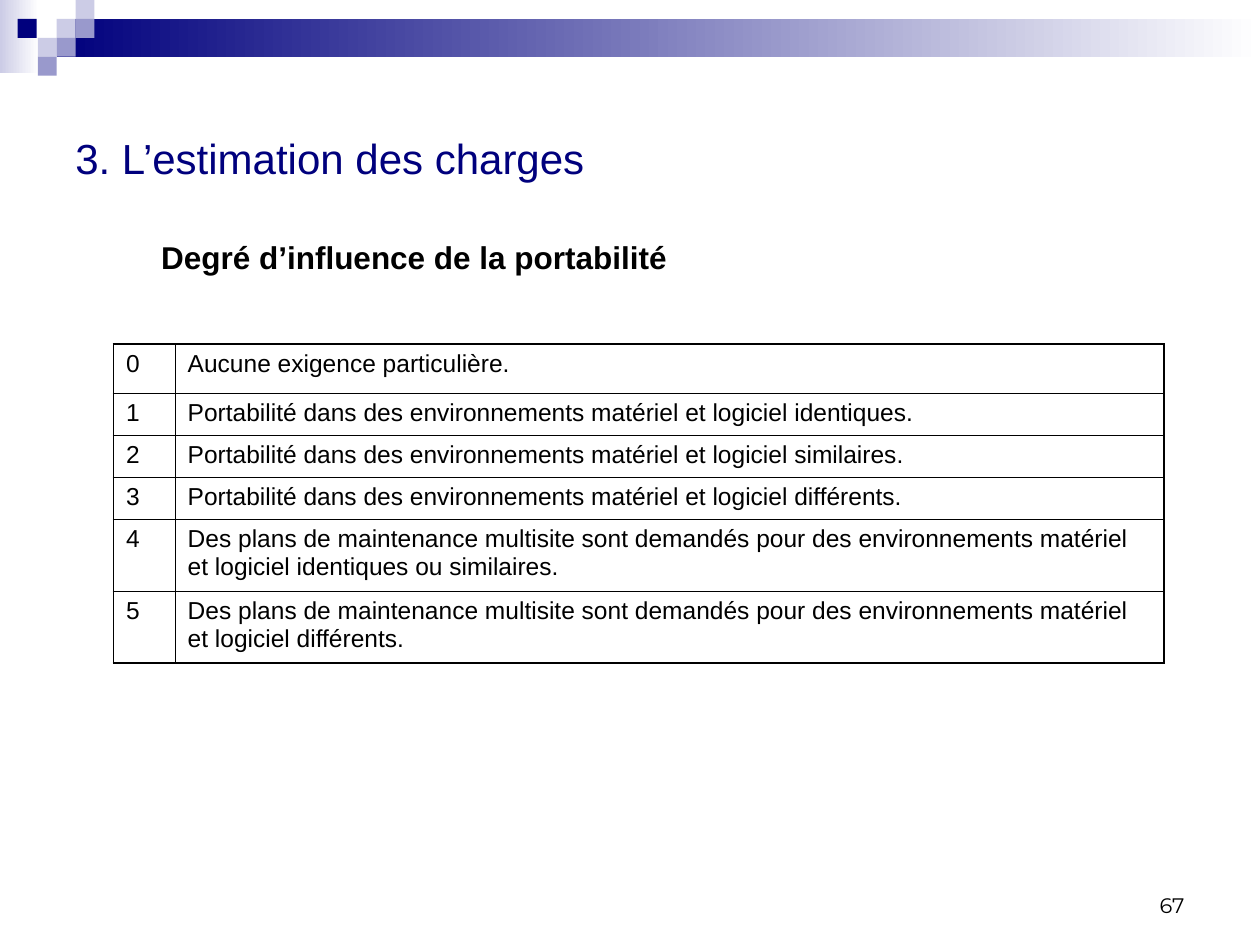
"""Build the slide on the degree of influence of portability."""
import pptx
import pptx.dml.color
import pptx.enum.shapes
import pptx.enum.text
import pptx.oxml.ns
import pptx.util
from lxml import etree

Inches = pptx.util.Inches
RGBColor = pptx.dml.color.RGBColor
Anchor = pptx.enum.text.MSO_ANCHOR
Align = pptx.enum.text.PP_ALIGN

NAVY = RGBColor(0x00, 0x00, 0x7D)
LAVENDER = RGBColor(0xCC, 0xCC, 0xE6)
PERIWINKLE = RGBColor(0x99, 0x99, 0xCC)
WHITE = RGBColor(0xFF, 0xFF, 0xFF)
BLACK = RGBColor(0x00, 0x00, 0x00)

THIN, THICK = 0.45, 1.08
TILE_SIZE = 0.15
TILES = [
    (0.45, 0.15, LAVENDER),
    (0.6, 0, LAVENDER),
    (0.6, 0.15, PERIWINKLE),
    (0.3, 0.3, LAVENDER),
    (0.14, 0.15, NAVY),
    (0.45, 0.3, PERIWINKLE),
    (0.3, 0.45, PERIWINKLE),
]
COLUMN_WIDTHS = [0.49, 7.85]
ROW_HEIGHTS = [0.39, 0.33, 0.33, 0.33, 0.57, 0.57]
DEGREES = [
    "Aucune exigence particulière.",
    "Portabilité dans des environnements matériel et logiciel identiques.",
    "Portabilité dans des environnements matériel et logiciel similaires.",
    "Portabilité dans des environnements matériel et logiciel différents.",
    "Des plans de maintenance multisite sont demandés pour des environnements "
    "matériel et logiciel identiques ou similaires.",
    "Des plans de maintenance multisite sont demandés pour des environnements "
    "matériel et logiciel différents.",
]


def add_rectangle(slide, left, top, width, height, *colors):
    """Add a borderless rectangle, with a gradient if two colours are given."""
    shape = slide.shapes.add_shape(
        pptx.enum.shapes.MSO_SHAPE.RECTANGLE,
        Inches(left), Inches(top), Inches(width), Inches(height),
    )
    shape.shadow.inherit = False
    shape.line.fill.background()
    if len(colors) == 1:
        shape.fill.solid()
        shape.fill.fore_color.rgb = colors[0]
    else:
        shape.fill.gradient()
        shape.fill.gradient_angle = 0
        for stop, color in zip(shape.fill.gradient_stops, colors):
            stop.color.rgb = color


def add_run(paragraph, text, size, color=BLACK, font="Arial", bold=False):
    """Add a formatted run to a paragraph."""
    run = paragraph.add_run()
    run.text = text
    run.font.size = pptx.util.Pt(size)
    run.font.name = font
    run.font.bold = bold
    run.font.color.rgb = color


def add_text_box(slide, left, top, width, height, anchor):
    """Add a wrapping text box and return its text frame."""
    box = slide.shapes.add_textbox(
        Inches(left), Inches(top), Inches(width), Inches(height)
    )
    frame = box.text_frame
    frame.word_wrap = True
    frame.vertical_anchor = anchor
    return frame


def set_borders(cell, widths):
    """Draw black cell borders from a mapping of sides to widths in points."""
    properties = cell._tc.get_or_add_tcPr()
    qn = pptx.oxml.ns.qn
    for side, width in widths.items():
        line = etree.SubElement(
            properties, qn(f"a:ln{side}"), w=str(pptx.util.Pt(width))
        )
        fill = etree.SubElement(line, qn("a:solidFill"))
        etree.SubElement(fill, qn("a:srgbClr"), val=str(BLACK))


def add_degree_table(slide):
    """Add the table of degrees with a thicker outer frame."""
    table = slide.shapes.add_table(
        len(DEGREES), len(COLUMN_WIDTHS), Inches(0.9), Inches(2.73),
        Inches(sum(COLUMN_WIDTHS)), Inches(sum(ROW_HEIGHTS)),
    ).table
    table.first_row = False
    table.horz_banding = False
    for column, width in zip(table.columns, COLUMN_WIDTHS):
        column.width = Inches(width)
    last_row, last_column = len(DEGREES) - 1, len(COLUMN_WIDTHS) - 1
    for i, (degree, height) in enumerate(zip(DEGREES, ROW_HEIGHTS)):
        table.rows[i].height = Inches(height)
        for j, text in enumerate([str(i), degree]):
            cell = table.cell(i, j)
            outer_sides = {
                "L": j == 0, "R": j == last_column,
                "T": i == 0, "B": i == last_row,
            }
            set_borders(cell, {
                side: THICK if outer else THIN
                for side, outer in outer_sides.items()
            })
            cell.fill.background()
            add_run(cell.text_frame.paragraphs[0], text, 14)


def add_banner(slide):
    """Add the gradient bars and the tiles at the top of the slide."""
    add_rectangle(slide, 0, 0, 0.31, 0.58, LAVENDER, WHITE)
    add_rectangle(slide, 0.45, 0.15, 9.55, 0.3, NAVY, WHITE)
    for left, top, color in TILES:
        add_rectangle(slide, left, top, TILE_SIZE, TILE_SIZE, color)


def main():
    """Build and save the presentation."""
    presentation = pptx.Presentation()
    presentation.slide_width = Inches(10)
    presentation.slide_height = Inches(7.5)
    slide = presentation.slides.add_slide(presentation.slide_layouts[6])

    add_banner(slide)

    number = add_text_box(slide, 7.17, 6.83, 2.33, 0.5, Anchor.BOTTOM)
    number.paragraphs[0].alignment = Align.RIGHT
    add_run(number.paragraphs[0], "67", 12, font="Montserrat")

    title = add_text_box(slide, 0.5, 0.5, 9, 1.5, Anchor.MIDDLE)
    add_run(title.paragraphs[0], "3. L’estimation des charges", 24, NAVY)

    heading = add_text_box(slide, 0.51, 1.81, 9.13, 5.64, Anchor.TOP)
    heading.margin_left = Inches(0.77)
    heading.margin_top = Inches(0.08)
    add_run(heading.paragraphs[0], "Degré d’influence de la portabilité", 18,
            bold=True)

    add_degree_table(slide)
    presentation.save("out.pptx")


if __name__ == "__main__":
    main()
